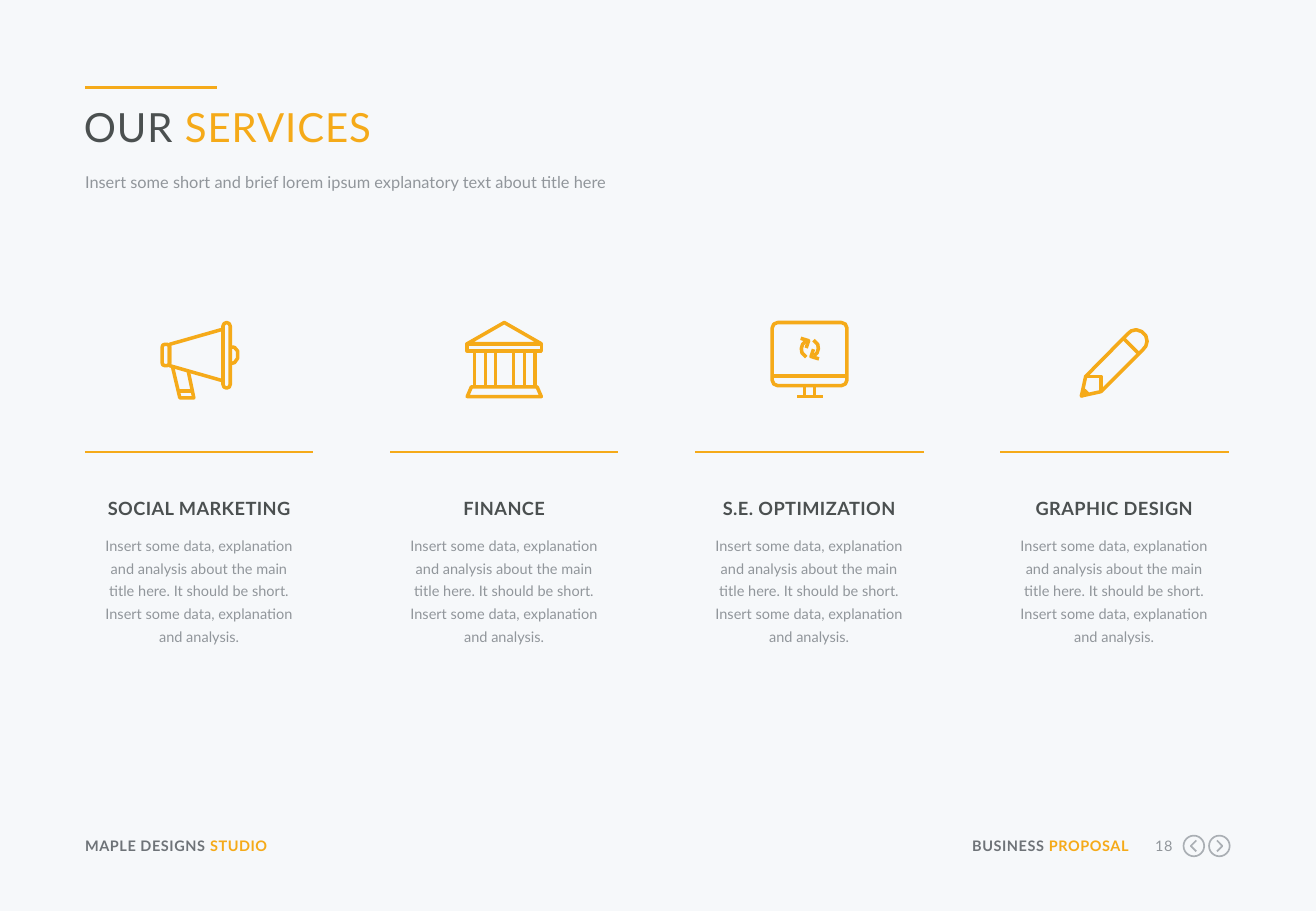
from math import cos, pi, sin

from lxml.etree import SubElement
from pptx import Presentation
from pptx.dml.color import RGBColor
from pptx.enum.shapes import MSO_CONNECTOR as CONN
from pptx.enum.text import PP_ALIGN as ALIGN
from pptx.oxml.ns import qn
from pptx.util import Inches, Pt

ORANGE, DARK, SLATE, GRAY, SILVER = "F5AA19", "4B5050", "6E7378", "91969B", "AAAFB4"
BODY = ("Insert some data, explanation and analysis about the main title here. "
        "It should be short. Insert some data, explanation and analysis.")


def rgb(color):
    """Turn a hex string into a colour."""
    return RGBColor.from_string(color)


def add_text(shapes, box, runs, size, bold=False, spc=0, align=ALIGN.LEFT,
             spacing=None, after=0):
    """Add a one-paragraph text box from (text, colour) runs."""
    tf = shapes.add_textbox(*map(Inches, box)).text_frame
    tf.word_wrap = True
    tf.margin_left = tf.margin_right = tf.margin_top = tf.margin_bottom = 0
    p = tf.paragraphs[0]
    p.alignment, p.space_after = align, Pt(after)
    if spacing:
        p.line_spacing = spacing
    for text, color in runs:
        r = p.add_run()
        r.text = text
        r.font.name, r.font.size, r.font.bold = "Lato", Pt(size), bold
        r.font.color.rgb = rgb(color)
        if spc:
            r._r.get_or_add_rPr().set("spc", str(round(spc * 100)))


def add_line(shapes, x1, y, x2, width):
    """Add a level orange line."""
    line = shapes.add_connector(CONN.STRAIGHT, *map(Inches, (x1, y, x2, y)))
    line.line.color.rgb, line.line.width = rgb(ORANGE), Pt(width)
    SubElement(line._element.spPr, qn("a:effectLst"))


def add_drawing(shapes, x, y, closed, opened, color=ORANGE, width=2.1):
    """Add one outline shape from closed and open strokes measured from (x, y)."""
    strokes = [(pts, True) for pts in closed] + [(pts, False) for pts in opened]
    builder = None
    for points, close in strokes:
        pts = [(Inches(x + dx), Inches(y + dy)) for dx, dy in points]
        if builder is None:
            builder = shapes.build_freeform(*pts[0])
        else:
            builder.move_to(*pts[0])
        builder.add_line_segments(pts[1:], close=close)
    sp = builder.convert_to_shape()
    sp.shadow.inherit = False
    sp.fill.background()
    sp.line.color.rgb, sp.line.width = rgb(color), Pt(width)


def round_box(x, y, w, h, radius):
    """Give the points of a rounded rectangle."""
    centres = [(x + w - radius, y + h - radius), (x + radius, y + h - radius),
               (x + radius, y + radius), (x + w - radius, y + radius)]
    return [(cx + radius * cos((q + k / 2) * pi / 2), cy + radius * sin((q + k / 2) * pi / 2))
            for q, (cx, cy) in enumerate(centres) for k in range(3)]


def megaphone(shapes, x, y):
    """Draw the megaphone icon."""
    cone = [(.075, .195), (.515, .07), (.515, .495), (.075, .37)]
    knob = [(.575, .215), (.61, .22), (.635, .25), (.635, .31), (.61, .345), (.575, .355)]
    grip = [(.1, .38), (.16, .635), (.275, .635), (.23, .42)]
    add_drawing(shapes, x, y,
                [round_box(.015, .195, .06, .175, .02), cone, round_box(.515, .015, .06, .54, .03)],
                [knob, grip, [(.15, .58), (.26, .58)]])


def bank(shapes, x, y):
    """Draw the bank icon."""
    roof = [(.015, .19), (.32, .015), (.625, .19)]
    beam = [(.015, .19), (.625, .19), (.625, .25), (.015, .25)]
    base = [(.05, .545), (.59, .545), (.625, .625), (.015, .625)]
    columns = [[(dx, .25), (dx, .545)] for dx in (.075, .165, .25, .395, .485, .575)]
    add_drawing(shapes, x, y, [roof, beam, base], columns)


def monitor(shapes, x, y):
    """Draw the monitor icon with two turning arrows."""
    arc = [(.295, .3), (.26, .265), (.255, .23), (.265, .195), (.29, .17)]
    head = [(.25, .145), (.315, .165), (.295, .225)]
    arrows = [arc, head] + [[(.65 - dx, .46 - dy) for dx, dy in part] for part in (arc, head)]
    stand = [[(dx, .535), (dx, .625)] for dx in (.28, .365)]
    add_drawing(shapes, x, y, [round_box(.015, .015, .615, .52, .045)],
                arrows + stand + [[(.015, .455), (.63, .455)], [(.22, .625), (.43, .625)]])


def pencil(shapes, x, y):
    """Draw the pencil icon."""
    body = [(.02, .56), (.055, .4), (.4, .05), (.43, .025), (.47, .015), (.515, .03),
            (.55, .065), (.56, .11), (.55, .15), (.525, .18), (.18, .525)]
    tip = [(.02, .56), (.04, .51), (.07, .54)]
    add_drawing(shapes, x + .03, y + .06, [body, tip],
                [[(.055, .4), (.18, .4), (.18, .525)], [(.37, .09), (.49, .21)]])


def add_header(shapes, x, y):
    """Add the accent line, title and subtitle."""
    add_line(shapes, x, y, x + 1.09, 2.25)
    add_text(shapes, (x - .01, y + .12, 9.42, .41),
             [("OUR ", DARK), ("SERVICES", ORANGE)], 23.8, spc=.6)
    add_text(shapes, (x, y + .68, 9.42, .21),
             [("Insert some short and brief lorem ipsum explanatory text about title here", GRAY)],
             9.7, spacing=Pt(13))


def add_service(shapes, x, y, name, icon):
    """Add one service column: icon, rule, heading and text."""
    icon(shapes, x + .62, y)
    add_line(shapes, x, y + 1.08, x + 1.88, 1)
    group = shapes.add_group_shape().shapes
    add_text(group, (x + .11, y + 1.74, 1.66, .95), [(BODY, GRAY)], 8.6,
             align=ALIGN.CENTER, spacing=1.3, after=6.5)
    add_text(group, (x + .11, y + 1.45, 1.66, .18), [(name, DARK)], 10.8, True, .25, ALIGN.CENTER)


def add_button(shapes, x, y, way):
    """Add a round button with a chevron that points left (-1) or right (1)."""
    mid = .085
    chevron = [(mid + way * dx, mid + dy) for dx, dy in ((-.02, -.045), (.025, 0), (-.02, .045))]
    ring = [(mid + mid * cos(k * pi / 12), mid + mid * sin(k * pi / 12)) for k in range(24)]
    add_drawing(shapes, x, y, [ring], [chevron], SILVER, 1)


def add_footer(shapes, x, y):
    """Add the footer texts, page number and buttons."""
    add_text(shapes, (x, y, 2.11, .15),
             [("MAPLE DESIGNS ", SLATE), ("STUDIO", ORANGE)], 8.6, True, .3)
    add_text(shapes, (x + 7.22, y, 1.37, .15),
             [("BUSINESS ", SLATE), ("PROPOSAL", ORANGE)], 8.6, True, .3, ALIGN.RIGHT)
    add_text(shapes, (x + 8.7, y, .25, .15), [("18", GRAY)], 8.6, spc=.3, align=ALIGN.RIGHT)
    for dx, way in ((9.04, -1), (9.25, 1)):
        add_button(shapes, x + dx, y - .01, way)


def main():
    """Build and save the services slide."""
    prs = Presentation()
    prs.slide_width, prs.slide_height = Inches(10.83), Inches(7.5)
    s = prs.slides.add_slide(prs.slide_layouts[6])
    s.background.fill.solid()
    s.background.fill.fore_color.rgb = rgb("F6F8FA")
    left, pitch = .7, 2.51
    add_header(s.shapes, left, .72)
    services = [("SOCIAL MARKETING", megaphone), ("FINANCE", bank),
                ("S.E. OPTIMIZATION", monitor), ("GRAPHIC DESIGN", pencil)]
    for i, (name, icon) in enumerate(services):
        add_service(s.shapes, left + i * pitch, 2.64, name, icon)
    add_footer(s.shapes, left, 6.89)
    prs.save("out.pptx")


if __name__ == "__main__":
    main()
